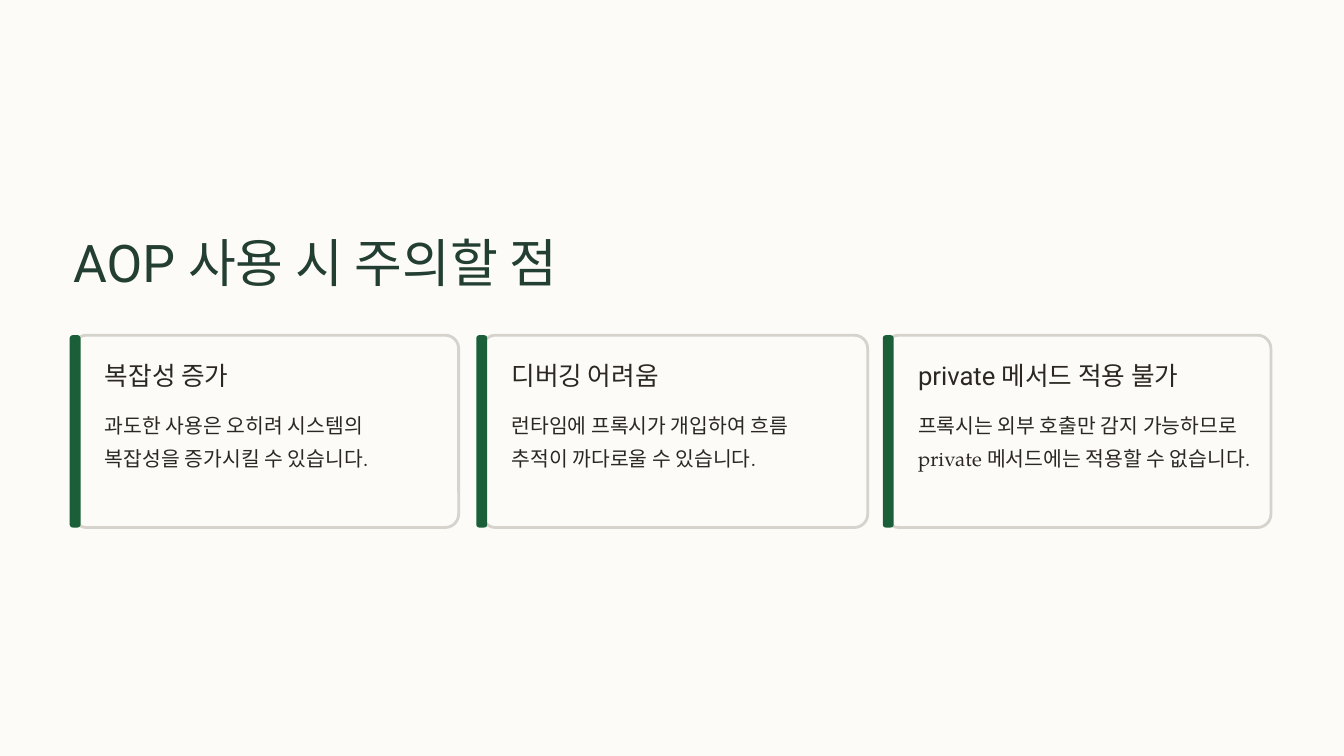
from pptx import Presentation
from pptx import util as u
from pptx.dml.color import RGBColor
from pptx.enum import shapes, text

WIDTH, HEIGHT = 16, 9
PAPER, BORDER, GREEN = "FCFBF8", "D6D3CC", "1B5F39"
TITLE_COLOR, INK = "233E32", "2C2821"
HEADING_FONT, BODY_FONT = "Roboto", "TeX Gyre Pagella"
CARDS_LEFT, CARDS_TOP, CARD_PITCH = 0.83, 3.99, 4.84
CARD_WIDTH, CARD_HEIGHT = 4.59, 2.29
BAR_WIDTH, TEXT_INSET = 0.13, 0.42

CARDS = [
    ("복잡성 증가", "과도한 사용은 오히려 시스템의 복잡성을 증가시킬 수 있습니다.", 0.04),
    ("디버깅 어려움", "런타임에 프록시가 개입하여 흐름 추적이 까다로울 수 있습니다.", 0.07),
    ("private 메서드 적용 불가",
     "프록시는 외부 호출만 감지 가능하므로 private 메서드에는 적용할 수 없습니다.", 0.03),
]


def color(value):
    return RGBColor.from_string(value)


def inches(*lengths):
    return [u.Inches(length) for length in lengths]


def write(box, words, *, font, size, leading, ink=INK, wrap=False):
    frame = box.text_frame
    frame.margin_left = frame.margin_top = frame.margin_right = frame.margin_bottom = 0
    frame.auto_size = text.MSO_AUTO_SIZE.NONE
    frame.vertical_anchor = text.MSO_ANCHOR.TOP
    frame.word_wrap = wrap
    para = frame.paragraphs[0]
    para.alignment = text.PP_ALIGN.LEFT
    para.line_spacing = u.Pt(leading)
    para.space_before = u.Pt(0)
    span = para.add_run()
    span.text = words
    span.font.name = font
    span.font.size = u.Pt(size)
    span.font.color.rgb = color(ink)


def add_panel(page, area, *, fill, radius, border=None):
    panel = page.shapes.add_shape(shapes.MSO_SHAPE.ROUNDED_RECTANGLE, *inches(*area))
    panel.adjustments[0] = radius
    panel.shadow.inherit = False
    panel.fill.solid()
    panel.fill.fore_color.rgb = color(fill)
    if border:
        panel.line.color.rgb = color(border)
        panel.line.width = u.Pt(2.4)
    else:
        panel.line.fill.background()


def add_title(page, words, area):
    title = page.shapes.title
    title.left, title.top, title.width, title.height = inches(*area)
    write(title, words, font=HEADING_FONT, size=44.5, leading=55.5, ink=TITLE_COLOR)


def add_card(page, area, heading, body, panel_shift):
    left, top, width, height = area
    add_panel(page, (left + panel_shift, top, width, height),
              fill=PAPER, radius=0.07, border=BORDER)
    add_panel(page, (left, top, BAR_WIDTH, height), fill=GREEN, radius=0.28)
    text_left = left + TEXT_INSET
    heading_box = page.shapes.add_textbox(*inches(text_left, top + 0.28, 3.1, 0.39))
    write(heading_box, heading, font=HEADING_FONT, size=22, leading=27.5)
    body_box = page.shapes.add_textbox(*inches(text_left, top + 0.82, 3.93, 1.19))
    write(body_box, body, font=BODY_FONT, size=17.5, leading=28.5, wrap=True)


def main():
    deck = Presentation()
    deck.slide_width, deck.slide_height = inches(WIDTH, HEIGHT)
    page = deck.slides.add_slide(deck.slide_layouts.get_by_name("Title Only"))
    page.background.fill.solid()
    page.background.fill.fore_color.rgb = color(PAPER)
    add_title(page, "AOP 사용 시 주의할 점", (0.87, 2.72, 6.2, 0.78))
    for column, (heading, body, panel_shift) in enumerate(CARDS):
        left = CARDS_LEFT + column * CARD_PITCH
        add_card(page, (left, CARDS_TOP, CARD_WIDTH, CARD_HEIGHT),
                 heading, body, panel_shift)
    deck.save("out.pptx")


if __name__ == "__main__":
    main()
